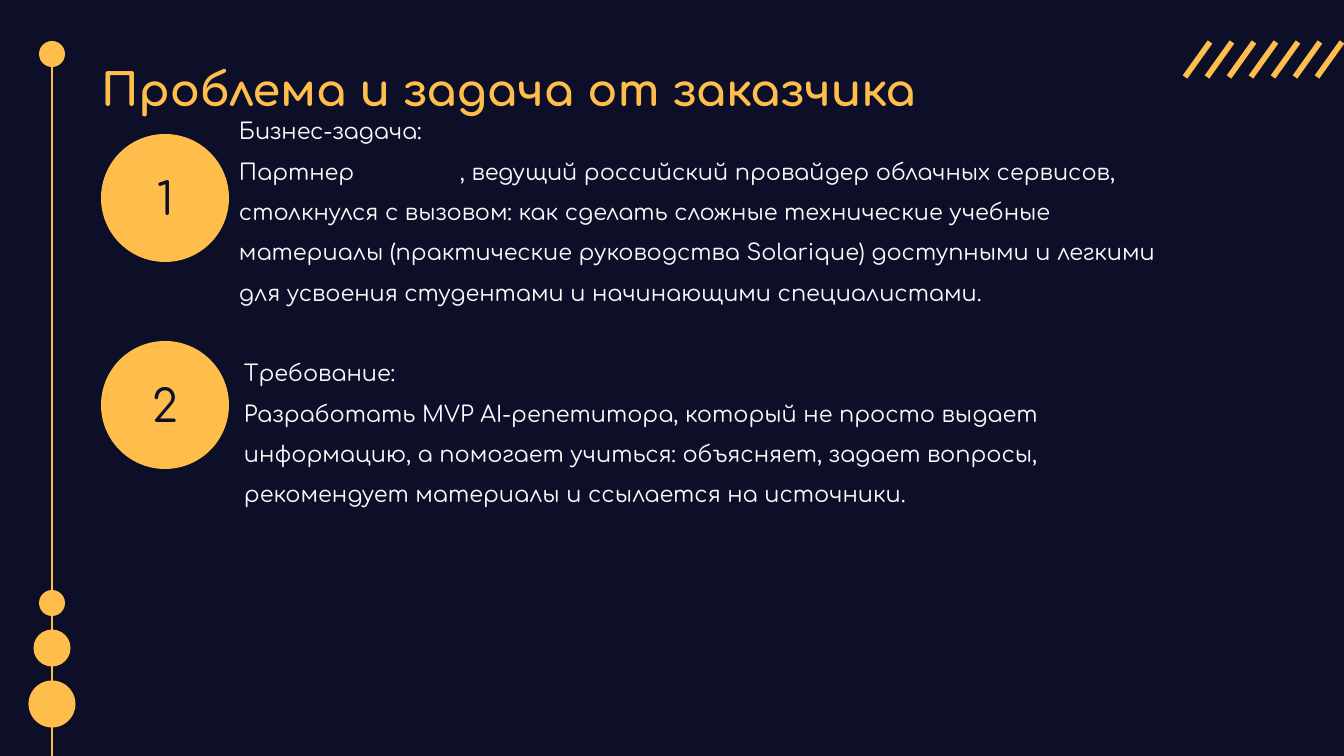
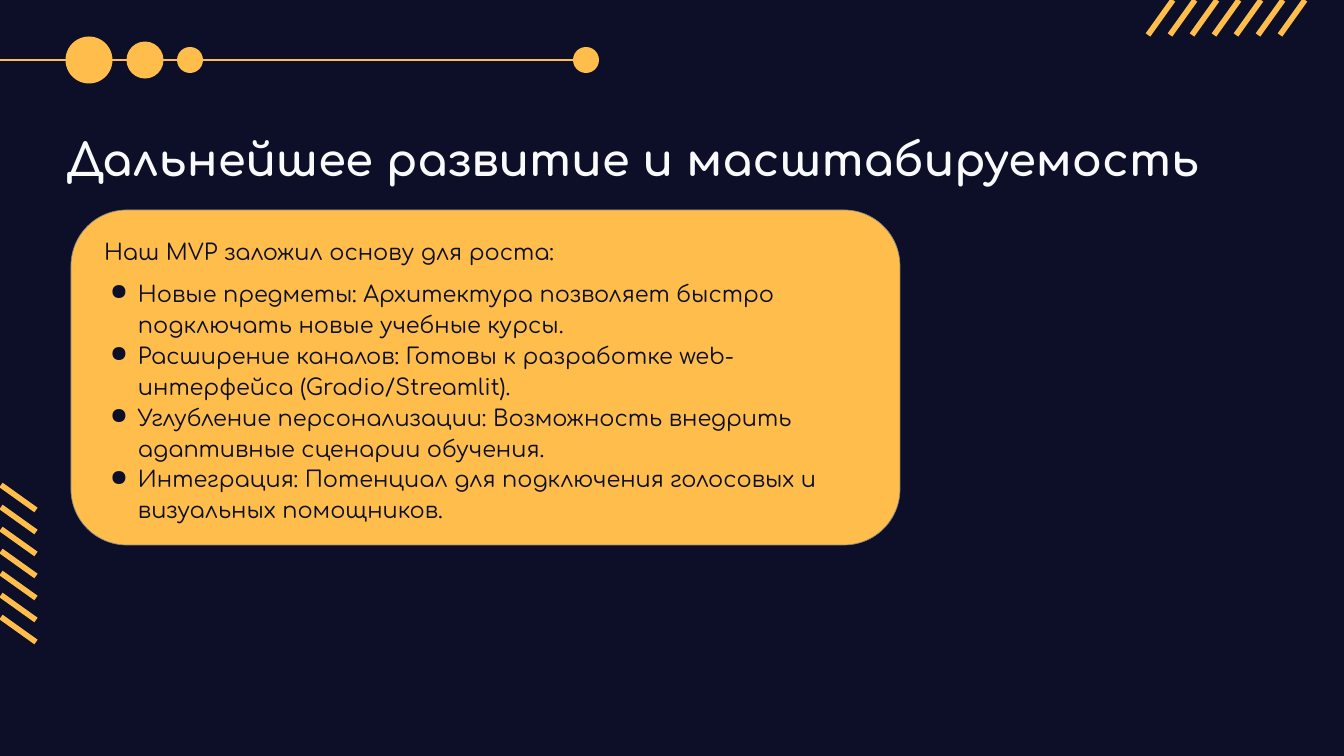
from lxml import etree
from pptx import Presentation
from pptx.dml.color import RGBColor
from pptx.enum.shapes import MSO_CONNECTOR, MSO_SHAPE
from pptx.enum.text import MSO_ANCHOR, MSO_AUTO_SIZE, PP_ALIGN
from pptx.oxml.ns import qn
from pptx.util import Pt

STRAIGHT = MSO_CONNECTOR.STRAIGHT
OVAL = MSO_SHAPE.OVAL
CARD = MSO_SHAPE.FLOWCHART_ALTERNATE_PROCESS
TOP, MIDDLE = MSO_ANCHOR.TOP, MSO_ANCHOR.MIDDLE
LEFT, CENTER = PP_ALIGN.LEFT, PP_ALIGN.CENTER
NO_AUTOFIT = MSO_AUTO_SIZE.NONE

SLIDE_WIDTH, SLIDE_HEIGHT = 1344, 756
EMU_PER_PX = 914400 / 67.2
TITLE_ONLY = 5
FONT = "Comfortaa"
TITLE_SIZE, BODY_SIZE = 48, 24
COLORS = {"night": "0C0F27", "amber": "FFBD4C", "white": "F9FAFB", "gray": "888888"}

RAIL_DOTS = ((0, 47), (56, 37), (101, 26))  # offset from the largest dot, diameter
END_DOT = 26
HATCH_COUNT, HATCH_STEP = 7, 22
NUMBER_DIAMETER = 128
BULLET_MARGIN, BULLET_HANG = 34, 28


def px(value):
    return round(value * EMU_PER_PX)


def rgb(name):
    return RGBColor.from_string(COLORS[name])


class Deck:
    def __init__(self):
        self.presentation = Presentation()
        self.presentation.slide_width = px(SLIDE_WIDTH)
        self.presentation.slide_height = px(SLIDE_HEIGHT)
        background = self.presentation.slide_master.background.fill
        background.solid()
        background.fore_color.rgb = rgb("night")
        self.slide = None

    def new_slide(self):
        layout = self.presentation.slide_layouts[TITLE_ONLY]
        self.slide = self.presentation.slides.add_slide(layout)

    def prepare_frame(self, shape, inset=0, anchor=TOP):
        frame = shape.text_frame
        frame.word_wrap = True
        frame.auto_size = NO_AUTOFIT
        frame.vertical_anchor = anchor
        frame.margin_left = frame.margin_right = px(inset)
        frame.margin_top = frame.margin_bottom = px(inset)
        return frame

    def add_text(self, paragraph, text, color, size=BODY_SIZE, bold=False,
                 align=LEFT, spacing=1.0, before=0):
        paragraph.alignment = align
        paragraph.line_spacing = spacing
        paragraph.space_before = Pt(before)
        run = paragraph.add_run()
        run.text = text
        run.font.name = FONT
        run.font.size = Pt(size)
        run.font.bold = bold
        run.font.color.rgb = rgb(color)

    def title(self, text, left, top, width, height, color):
        title = self.slide.shapes.title
        title.left, title.top = px(left), px(top)
        title.width, title.height = px(width), px(height)
        frame = self.prepare_frame(title)
        self.add_text(frame.paragraphs[0], text, color, TITLE_SIZE, True,
                      spacing=1.5, before=24)

    def text_box(self, left, top, width, height, inset=0):
        box = self.slide.shapes.add_textbox(px(left), px(top), px(width), px(height))
        return self.prepare_frame(box, inset)

    def paragraphs(self, frame, texts, color, spacing):
        """Fill an empty frame with one paragraph per text and return them."""
        for index, text in enumerate(texts):
            paragraph = frame.add_paragraph() if index else frame.paragraphs[0]
            self.add_text(paragraph, text, color, spacing=spacing)
        return frame.paragraphs

    def bullet(self, paragraph, color):
        properties = paragraph._p.get_or_add_pPr()
        properties.set("marL", str(px(BULLET_MARGIN)))
        properties.set("indent", str(-px(BULLET_HANG)))
        bullet_color = etree.SubElement(properties, qn("a:buClr"))
        etree.SubElement(bullet_color, qn("a:srgbClr"), val=COLORS[color])
        etree.SubElement(properties, qn("a:buChar"), char="●")

    def tab_stop(self, paragraph, position):
        tabs = etree.SubElement(paragraph._p.get_or_add_pPr(), qn("a:tabLst"))
        etree.SubElement(tabs, qn("a:tab"), pos=str(px(position)), algn="l")

    def shape(self, kind, left, top, width, height, line=None):
        shape = self.slide.shapes.add_shape(
            kind, px(left), px(top), px(width), px(height))
        shape.shadow.inherit = False
        shape.fill.solid()
        shape.fill.fore_color.rgb = rgb("amber")
        if line:
            shape.line.color.rgb = rgb(line)
            shape.line.width = Pt(0.75)
        else:
            shape.line.fill.background()
        return shape

    def dot(self, x, y, diameter):
        """Draw a circle around the centre x, y."""
        return self.shape(OVAL, x - diameter / 2, y - diameter / 2, diameter, diameter)

    def number(self, text, x, y):
        frame = self.prepare_frame(self.dot(x, y, NUMBER_DIAMETER), anchor=MIDDLE)
        self.add_text(frame.paragraphs[0], text, "night", TITLE_SIZE, align=CENTER)

    def line(self, x1, y1, x2, y2, width):
        line = self.slide.shapes.add_connector(
            STRAIGHT, px(x1), px(y1), px(x2), px(y2))
        line.line.color.rgb = rgb("amber")
        line.line.width = Pt(width)
        etree.SubElement(line._element.spPr, qn("a:effectLst"))

    def rail(self, start, direction, first, length):
        """Draw a line from the slide edge with three shrinking dots and an end dot."""
        def at(distance):
            return tuple(s + d * distance for s, d in zip(start, direction))

        self.line(*start, *at(length), 3)
        for offset, diameter in RAIL_DOTS:
            self.dot(*at(first + offset), diameter)
        self.dot(*at(length), END_DOT)

    def hatch(self, x, y, stroke, direction):
        """Repeat one slanted stroke at equal steps along a direction."""
        for index in range(HATCH_COUNT):
            left = x + direction[0] * HATCH_STEP * index
            top = y + direction[1] * HATCH_STEP * index
            self.line(left, top, left + stroke[0], top + stroke[1], 6)


def build_problem_slide(deck):
    deck.new_slide()
    deck.title("Проблема и задача от заказчика", 101, 35, 924, 195, "amber")
    deck.rail((52, 756), (0, -1), 52, 702)
    deck.hatch(1185, 77, (25, -35), (1, 0))
    deck.number("1", 165, 198)
    deck.number("2", 165, 405)

    task = deck.paragraphs(deck.text_box(239, 104, 940, 190), (
        "Бизнес-задача:",
        "Партнер\t, ведущий российский провайдер облачных сервисов, столкнулся "
        "с вызовом: как сделать сложные технические учебные материалы "
        "(практические руководства Solarique) доступными и легкими для усвоения "
        "студентами и начинающими специалистами.",
    ), "white", 1.5)
    deck.tab_stop(task[1], 221)

    deck.paragraphs(deck.text_box(237, 339, 948, 153, 7), (
        "Требование:",
        "Разработать MVP AI-репетитора, который не просто выдает информацию, "
        "а помогает учиться: объясняет, задает вопросы, рекомендует материалы "
        "и ссылается на источники.",
    ), "white", 1.5)


def build_growth_slide(deck):
    deck.new_slide()
    deck.title("Дальнейшее развитие и масштабируемость", 66, 105, 1232, 298, "white")
    deck.rail((0, 60), (1, 0), 89, 586)
    deck.hatch(1148, 35, (25, -35), (1, 0))
    deck.hatch(1, 485, (35, 25), (0, 1))

    deck.shape(CARD, 71, 210, 829, 335, line="gray")
    intro, *plans = deck.paragraphs(deck.text_box(97, 227, 775, 319, 7), (
        "Наш MVP заложил основу для роста:",
        "Новые предметы: Архитектура позволяет быстро подключать новые учебные курсы.",
        "Расширение каналов: Готовы к разработке web-интерфейса (Gradio/Streamlit).",
        "Углубление персонализации: Возможность внедрить адаптивные сценарии обучения.",
        "Интеграция: Потенциал для подключения голосовых и визуальных помощников.",
    ), "night", 1.15)
    intro.space_before = plans[0].space_before = Pt(12)
    for plan in plans:
        deck.bullet(plan, "night")


def main():
    deck = Deck()
    build_problem_slide(deck)
    build_growth_slide(deck)
    deck.presentation.save("out.pptx")


if __name__ == "__main__":
    main()
